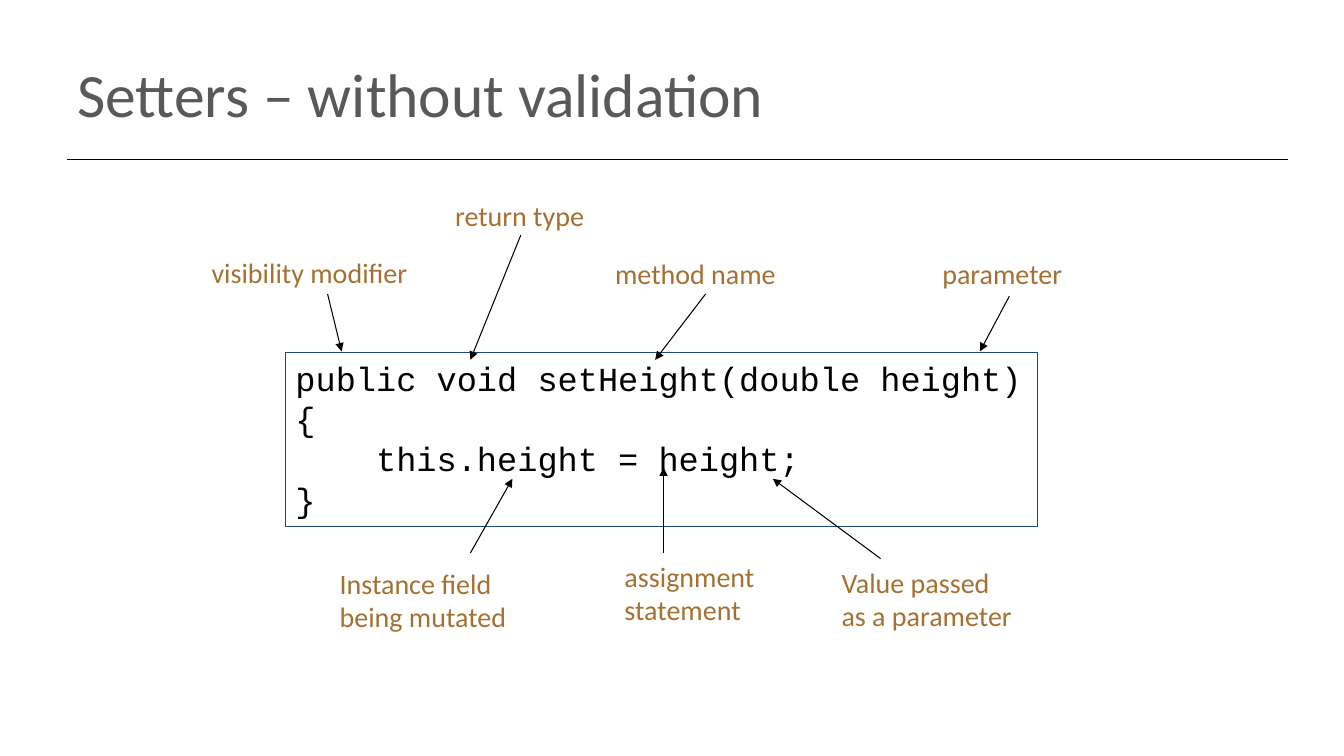
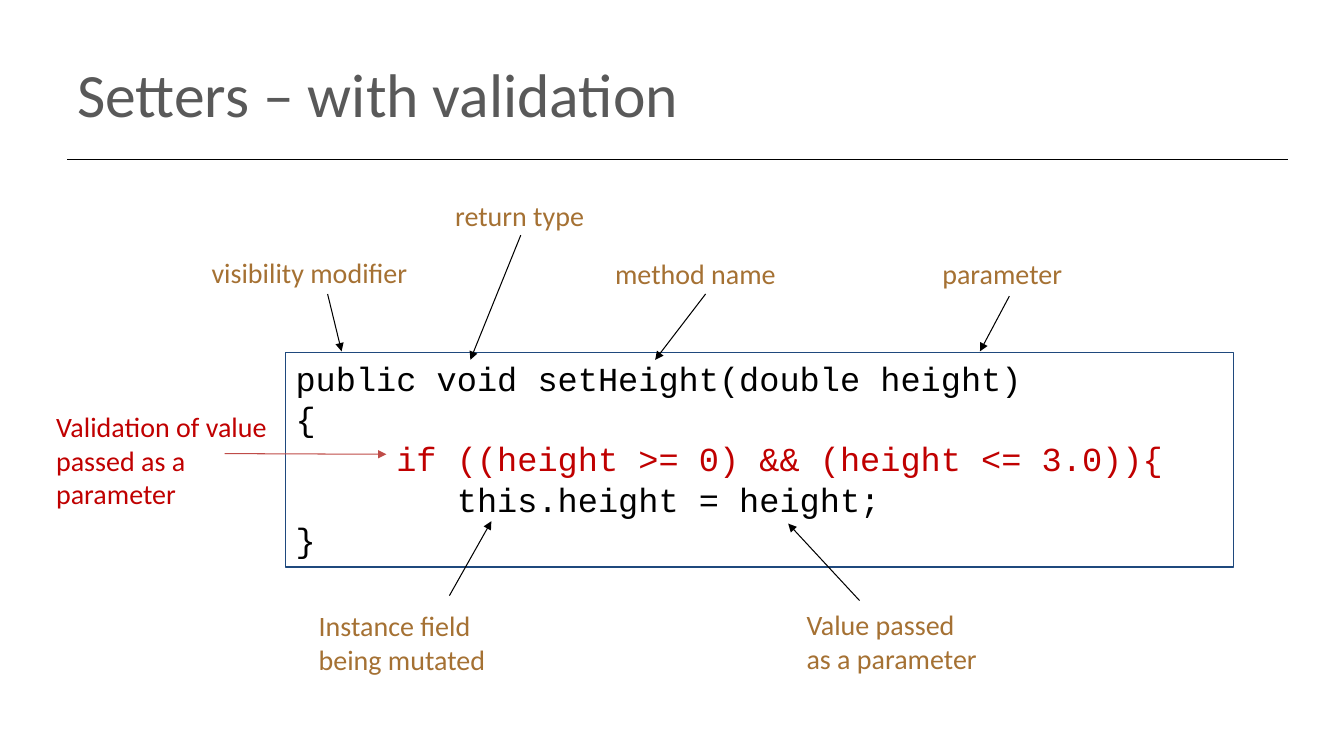
from dataclasses import dataclass

from lxml.etree import SubElement
from pptx import Presentation
from pptx.dml.color import RGBColor
from pptx.enum.shapes import MSO_CONNECTOR as Connector, MSO_SHAPE as Shape
from pptx.enum.text import MSO_ANCHOR as Anchor, MSO_AUTO_SIZE as AutoSize, PP_ALIGN as Align
from pptx.oxml.ns import qn
from pptx.util import Pt


@dataclass(frozen=True)
class Theme:
    text_font: str = "Calibri"
    code_font: str = "Courier New"
    title_size: float = 44
    code_size: float = 24
    label_size: float = 20
    title: str = "595959"
    ink: str = "000000"
    frame: str = "1F497D"
    label: str = "A57133"
    warning: str = "C00000"
    warning_arrow: str = "BF4C48"
    rule_width: float = 1
    arrow_width: float = 0.75


THEME = Theme()
LABEL_LINE = 24
LABEL_PADDING = 7.5
CODE_LEFT, CODE_TOP = 204, 252
CODE_TAB = 72


@dataclass(frozen=True)
class Callout:
    lines: tuple[str, ...]
    left: float
    top: float
    width: float
    start: tuple[float, float]
    end: tuple[float, float]
    colour: str = THEME.label
    arrow_colour: str = THEME.ink


@dataclass(frozen=True)
class CodeLine:
    text: str
    colour: str = THEME.ink


@dataclass(frozen=True)
class SetterPage:
    title: str
    code: tuple[CodeLine, ...]
    code_width: float
    code_height: float
    callouts: tuple[Callout, ...]


SIGNATURE = (CodeLine("public void setHeight(double height)"), CodeLine("{"))
FIELD_LABEL = ("Instance field", "being mutated")
VALUE_LABEL = ("Value passed", "as a parameter")

SIGNATURE_CALLOUTS = (
    Callout(("return type",), 318, 138, 107, (372, 168), (336, 257)),
    Callout(("method name",), 432.3, 180, 130, (504, 210), (468, 257)),
    Callout(("parameter",), 666, 180, 101, (721, 211.5), (700, 251)),
    Callout(("visibility modifier",), 144, 179, 156, (234, 210), (244, 251)),
)

PAGES = (
    SetterPage(
        "Setters – without validation",
        SIGNATURE + (CodeLine("    this.height = height;"), CodeLine("}")),
        537,
        124,
        SIGNATURE_CALLOUTS
        + (
            Callout(("assignment", "statement"), 439, 396, 113, (474, 395), (474, 334)),
            Callout(FIELD_LABEL, 235.5, 401, 135, (336, 395), (366, 342)),
            Callout(VALUE_LABEL, 594, 400.3, 140, (629, 399), (552, 342)),
        ),
    ),
    SetterPage(
        "Setters – with validation",
        SIGNATURE
        + (
            CodeLine("\tif ((height >= 0) && (height <= 3.0)){", THEME.warning),
            CodeLine("        this.height = height;"),
            CodeLine("}"),
        ),
        677,
        153,
        SIGNATURE_CALLOUTS
        + (
            Callout(FIELD_LABEL, 220.5, 431.3, 135, (321, 425.5), (351, 372.3)),
            Callout(VALUE_LABEL, 569, 430.5, 140, (614, 429), (563, 374)),
            Callout(
                ("Validation of value", "passed as a", "parameter"),
                33, 289, 171, (160.5, 324), (276, 324.5),
                THEME.warning, THEME.warning_arrow,
            ),
        ),
    ),
)


def write_line(frame, text: str, *, font: str, size: float, colour: str, first: bool,
               tab: float | None = None) -> None:
    para = frame.paragraphs[0] if first else frame.add_paragraph()
    para.alignment = Align.LEFT
    if tab is not None:
        stops = SubElement(para._p.get_or_add_pPr(), qn("a:tabLst"))
        SubElement(stops, qn("a:tab"), pos=str(int(Pt(tab))), algn="l")
    span = para.add_run()
    span.text = text
    span.font.name = font
    span.font.size = Pt(size)
    span.font.color.rgb = RGBColor.from_string(colour)


def draw_line(page, start: tuple[float, float], end: tuple[float, float], *,
              colour: str, width: float, arrow: bool = False) -> None:
    line = page.shapes.add_connector(Connector.STRAIGHT, *map(Pt, start + end))
    line.line.color.rgb = RGBColor.from_string(colour)
    line.line.width = Pt(width)
    if arrow:
        SubElement(line.line._get_or_add_ln(), qn("a:tailEnd"), type="triangle")
    SubElement(line.element.spPr, qn("a:effectLst"))


def draw_title(page, text: str) -> None:
    draw_line(page, (48, 114), (920, 114), colour=THEME.ink, width=THEME.rule_width)
    title = page.shapes.title
    title.left, title.top, title.width, title.height = map(Pt, (48, 21.5, 864, 90))
    title.text_frame.vertical_anchor = Anchor.MIDDLE
    write_line(title.text_frame, text, font=THEME.text_font, size=THEME.title_size,
               colour=THEME.title, first=True)


def draw_code(page, content: SetterPage) -> None:
    box = page.shapes.add_shape(
        Shape.RECTANGLE,
        *map(Pt, (CODE_LEFT, CODE_TOP, content.code_width, content.code_height)),
    )
    box.shadow.inherit = False
    box.fill.background()
    box.line.color.rgb = RGBColor.from_string(THEME.frame)
    box.line.width = Pt(THEME.rule_width)
    frame = box.text_frame
    frame.word_wrap = True
    frame.auto_size = AutoSize.SHAPE_TO_FIT_TEXT
    frame.vertical_anchor = Anchor.TOP
    for index, line in enumerate(content.code):
        write_line(frame, line.text, font=THEME.code_font, size=THEME.code_size,
                   colour=line.colour, first=index == 0, tab=CODE_TAB)


def draw_callout(page, callout: Callout) -> None:
    height = LABEL_LINE * len(callout.lines) + LABEL_PADDING
    box = page.shapes.add_textbox(*map(Pt, (callout.left, callout.top, callout.width, height)))
    frame = box.text_frame
    frame.word_wrap = False
    frame.auto_size = AutoSize.SHAPE_TO_FIT_TEXT
    for index, text in enumerate(callout.lines):
        write_line(frame, text, font=THEME.text_font, size=THEME.label_size,
                   colour=callout.colour, first=index == 0)
    draw_line(page, callout.start, callout.end, colour=callout.arrow_colour,
              width=THEME.arrow_width, arrow=True)


def main() -> None:
    deck = Presentation()
    deck.slide_width, deck.slide_height = Pt(960), Pt(540)
    title_only = deck.slide_layouts[5]
    for content in PAGES:
        page = deck.slides.add_slide(title_only)
        draw_title(page, content.title)
        draw_code(page, content)
        for callout in content.callouts:
            draw_callout(page, callout)
    deck.save("out.pptx")


if __name__ == "__main__":
    main()
